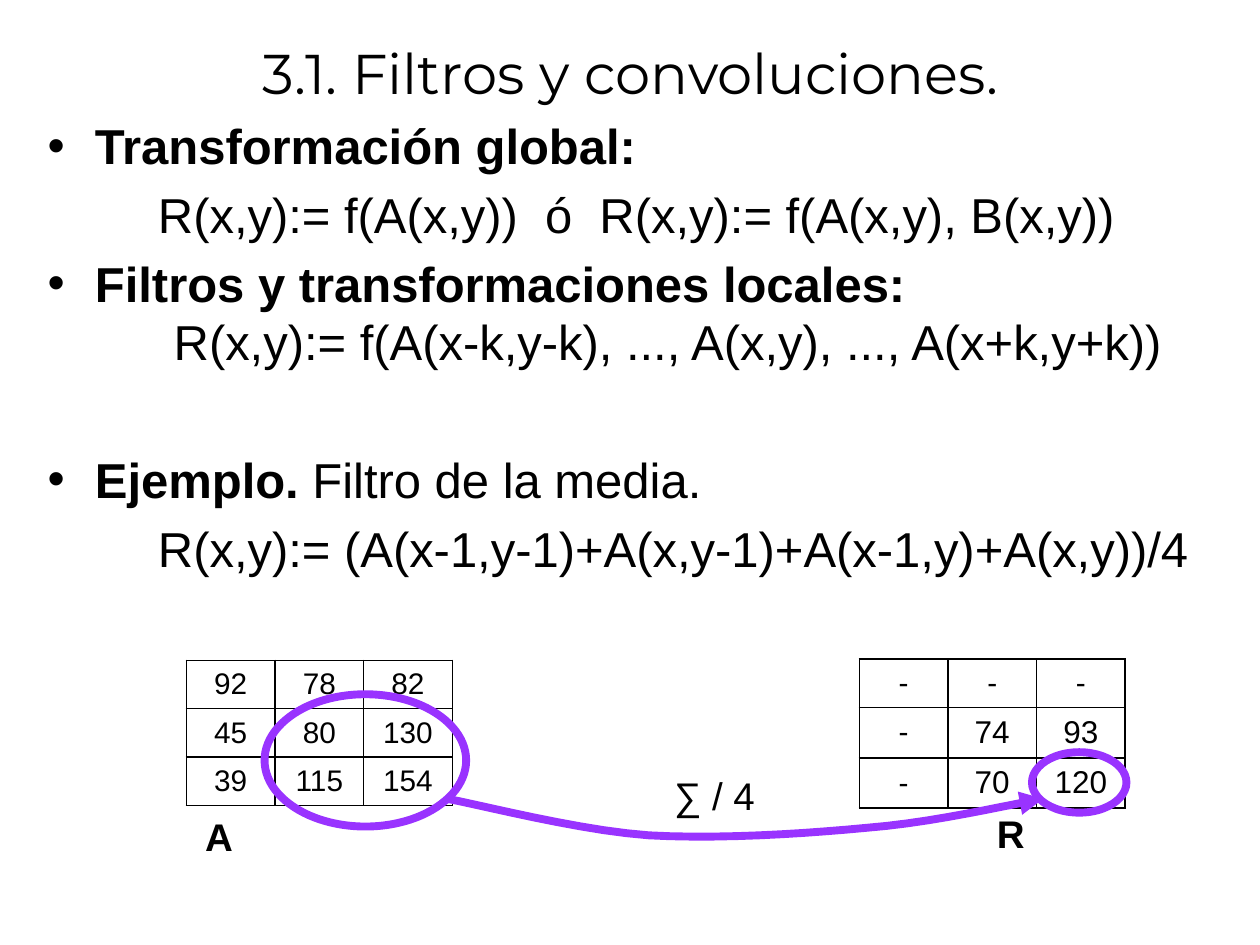
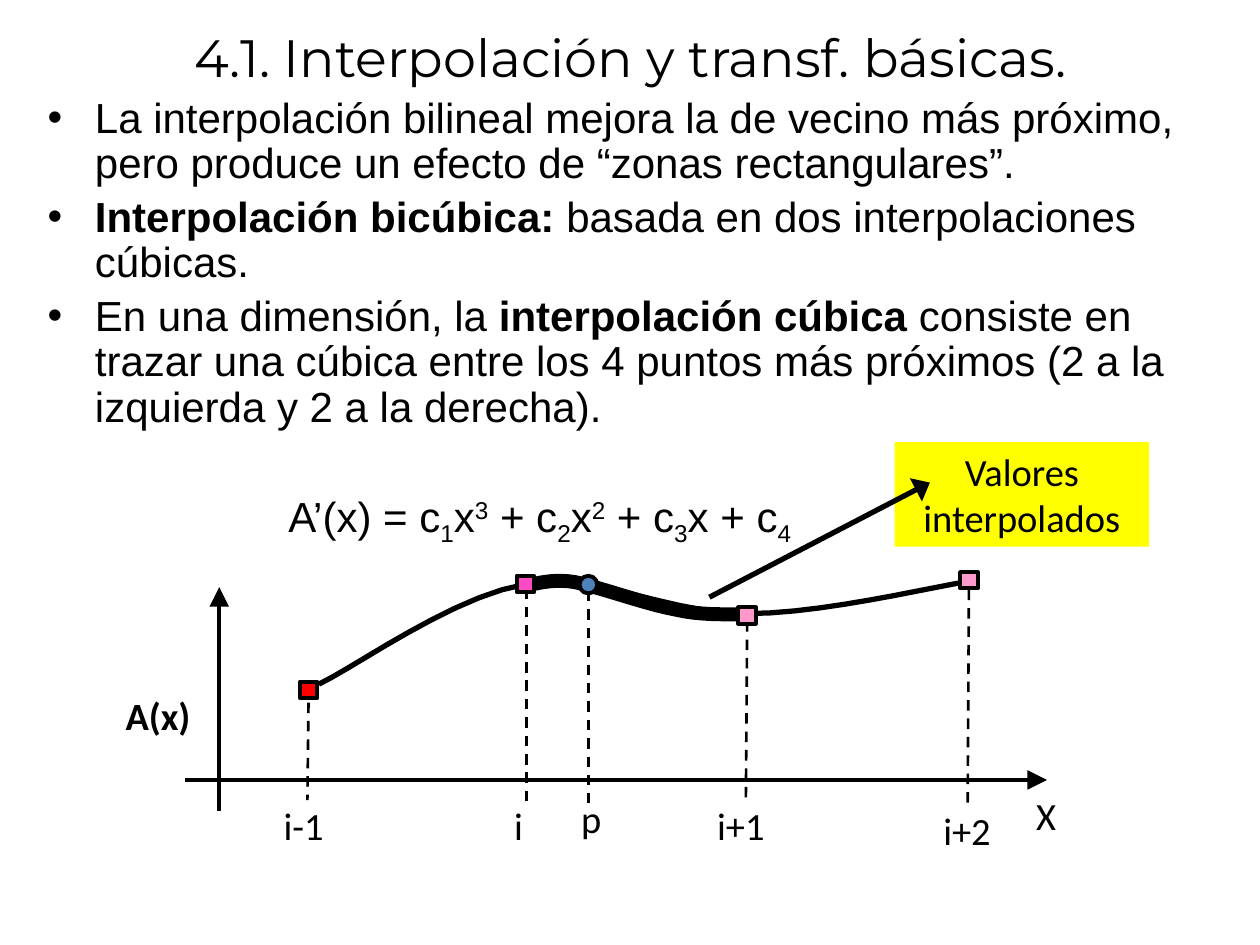
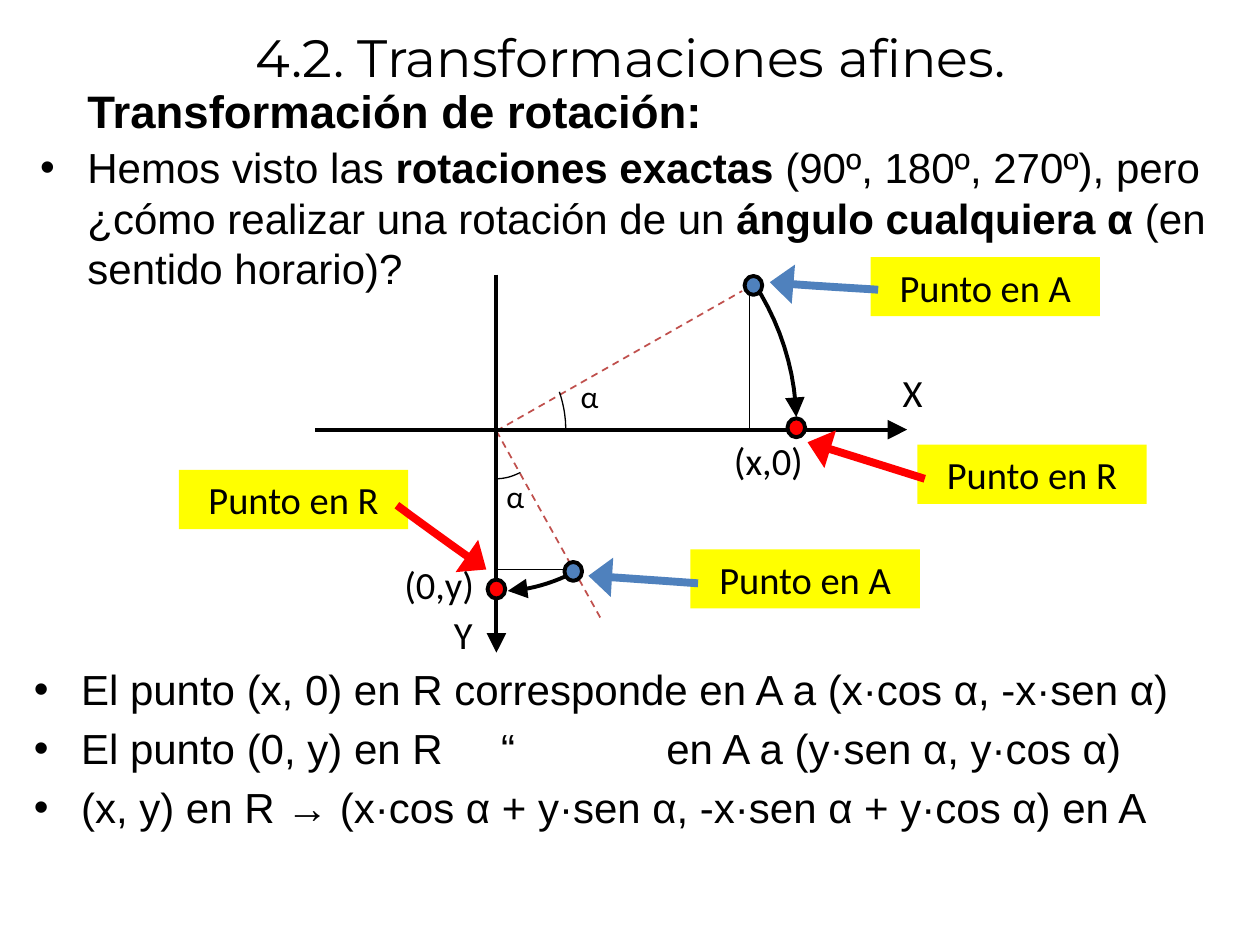
from lxml.etree import SubElement as Sub
from pptx import Presentation
from pptx.dml.color import RGBColor as RGB
from pptx.enum.dml import MSO_LINE as Dash
from pptx.enum.shapes import MSO_CONNECTOR as Link, MSO_SHAPE as Form
from pptx.enum.text import MSO_ANCHOR as Anchor, PP_ALIGN as Align
from pptx.oxml.ns import qn
from pptx.util import Inches, Pt

BLACK = RGB(0, 0, 0)
RED = RGB(0xFF, 0, 0)
BLUE = RGB(0x4F, 0x81, 0xBD)
BRICK = RGB(0xC0, 0x50, 0x4D)
YELLOW = RGB(0xFF, 0xFF, 0)
PURPLE = RGB(0x99, 0x33, 0xFF)
ROSE = RGB(0xFF, 0x4B, 0xC3)
PINK = RGB(0xFF, 0x99, 0xCC)
HEAD, TEXT, LABEL = "Montserrat", "Arial", "Calibri"
INDENT = Pt(27)
LEFT, MID, RIGHT = Align.LEFT, Align.CENTER, Align.RIGHT
PLAIN, WIDE, BIG = ("med", "med"), ("lg", "med"), ("lg", "lg")


def style(run, face, size, bold=False):
    font = run.font
    font.name, font.size, font.bold = face, Pt(size), bold
    font.color.rgb = BLACK


def label(slide, box, text, face=LABEL, size=22, align=RIGHT, bold=False, wrap=True):
    shape = slide.shapes.add_textbox(*map(Inches, box))
    write(shape.text_frame, text, face, size, align, bold)
    shape.text_frame.word_wrap = wrap
    return shape.text_frame


def write(frame, text, face, size, align, bold=False):
    frame.text = text
    para = frame.paragraphs[0]
    para.alignment = align
    for run in para.runs:
        style(run, face, size, bold)


def title(slide, text, high=0.89, size=30):
    frame = label(slide, (0.2, 0, 9.61, high), text, HEAD, size, MID)
    frame.vertical_anchor = Anchor.MIDDLE


def body(slide, box, rows, size, pitch=None):
    frame = slide.shapes.add_textbox(*map(Inches, box)).text_frame
    frame.word_wrap = True
    for i, row in enumerate(rows):
        para = frame.add_paragraph() if i else frame.paragraphs[0]
        gap = row.pop("gap", size * 0.2)
        fill_row(para, size=row.pop("size", size), **row)
        if i:
            para.space_before = Pt(gap)
        if pitch:
            para.line_spacing = pitch


def fill_row(para, text, size, bullet=True, tabs=()):
    props = para._p.get_or_add_pPr()
    props.set("marL", str(INDENT))
    props.set("indent", str(-INDENT))
    if bullet:
        Sub(props, qn("a:buFont"), typeface=TEXT)
        Sub(props, qn("a:buChar"), char="•")
    else:
        Sub(props, qn("a:buNone"))
    if tabs:
        stops = Sub(props, qn("a:tabLst"))
        for stop in tabs:
            Sub(stops, qn("a:tab"), pos=str(Inches(stop)), algn="l")
    for i, span in enumerate(text.split("**")):
        for j, part in enumerate(span.split("\n")):
            if j:
                para.add_line_break()
            if part:
                run = para.add_run()
                run.text = part
                style(run, TEXT, size, i % 2 == 1)


def stroke(shape, color, width, dash=False, arrow=None):
    line = shape.line
    line.color.rgb, line.width = color, Pt(width)
    if dash:
        line.dash_style = Dash.DASH
    if arrow:
        wide, long = arrow
        Sub(line._get_or_add_ln(), qn("a:tailEnd"), type="triangle", w=wide, len=long)


def line(slide, start, end, color=BLACK, width=2.25, dash=False, arrow=None):
    ends = map(Inches, (*start, *end))
    shape = slide.shapes.add_connector(Link.STRAIGHT, *ends)
    stroke(shape, color, width, dash, arrow)
    Sub(shape._element.spPr, qn("a:effectLst"))


def bend(a, b, c, d, steps=10):
    for i in range(1, steps + 1):
        t = i / steps
        u = 1 - t
        yield tuple(
            Inches(u**3 * p + 3 * u * u * t * q + 3 * u * t * t * r + t**3 * s)
            for p, q, r, s in zip(a, b, c, d)
        )


def curve(slide, knots, color=BLACK, width=2.25, arrow=None, hub=None):
    points = [
        spot for i in range(0, len(knots) - 1, 3) for spot in bend(*knots[i:i + 4])
    ]
    pen = slide.shapes.build_freeform(*map(Inches, knots[0]))
    pen.add_line_segments(points, close=False)
    if hub:
        pen.move_to(*map(Inches, hub))
    shape = pen.convert_to_shape()
    shape.shadow.inherit = False
    shape.fill.background()
    stroke(shape, color, width, arrow=arrow)


def mark(slide, form, box, fill=None, color=BLACK, width=2.25):
    shape = slide.shapes.add_shape(form, *map(Inches, box))
    shape.shadow.inherit = False
    if fill is None:
        shape.fill.background()
    else:
        shape.fill.solid()
        shape.fill.fore_color.rgb = fill
    stroke(shape, color, width)


def note(slide, box, text):
    shape = slide.shapes.add_shape(Form.RECTANGLE, *map(Inches, box))
    shape.shadow.inherit = False
    shape.fill.solid()
    shape.fill.fore_color.rgb = YELLOW
    shape.line.fill.background()
    shape.text_frame.word_wrap = True
    write(shape.text_frame, text, LABEL, 22, MID)


def border(cell):
    props = cell._tc.get_or_add_tcPr()
    for i, side in enumerate(("lnL", "lnR", "lnT", "lnB")):
        edge = props.makeelement(qn("a:" + side), {"w": str(Pt(1))})
        fill = Sub(edge, qn("a:solidFill"))
        Sub(fill, qn("a:srgbClr"), val=str(BLACK))
        props.insert(i, edge)


def grid(slide, left, top, highs, rows, size):
    frame = slide.shapes.add_table(
        3, 3, Inches(left), Inches(top), Inches(2.11), Inches(sum(highs))
    )
    table = frame.table
    table.first_row = table.horz_banding = False
    for i, row in enumerate(rows):
        table.rows[i].height = Inches(highs[i])
        for j, value in enumerate(row.split()):
            cell = table.cell(i, j)
            cell.fill.background()
            cell.vertical_anchor = Anchor.MIDDLE
            write(cell.text_frame, value, TEXT, 17 if value == "-" else size, MID)
            border(cell)


def filters(slide):
    title(slide, "3.1. Filtros y convoluciones.", 1.15, 32)
    stops = [0.38, 1.37]
    body(slide, (0.28, 0.87, 9.48, 5.76), [
        dict(text="**Transformación global:**"),
        dict(text="\t\tR(x,y):= f(A(x,y))  ó  R(x,y):= f(A(x,y), B(x,y))",
             bullet=False, tabs=stops),
        dict(text="**Filtros y transformaciones locales:**\n"
             "\tR(x,y):= f(A(x-k,y-k), ..., A(x,y), ..., A(x+k,y+k))", tabs=[1]),
        dict(text="**Ejemplo.** Filtro de la media.", gap=45),
        dict(text="\t\tR(x,y):= (A(x-1,y-1)+A(x,y-1)+A(x-1,y)+A(x,y))/4",
             bullet=False, tabs=stops),
    ], 28)
    grid(slide, 1.48, 5.24, (0.38, 0.38, 0.38),
         ("92 78 82", "45 80 130", "39 115 154"), 17)
    grid(slide, 6.82, 5.23, (0.38, 0.4, 0.4), ("- - -", "- 74 93", "- 70 120"), 18)
    for box in ((2.1, 5.51, 1.6, 1.05), (8.19, 5.97, 0.75, 0.48)):
        mark(slide, Form.OVAL, box, color=PURPLE, width=4.5)
    curve(slide, [
        (3.55, 6.34), (3.82, 6.39), (4.59, 6.59), (5.15, 6.63), (5.7, 6.66),
        (6.36, 6.62), (6.88, 6.57), (7.4, 6.53), (7.99, 6.39), (8.28, 6.34),
    ], PURPLE, 4.5, PLAIN)
    label(slide, (3.66, 6.08, 2.43, 0.47), "∑ / 4", TEXT)
    label(slide, (1.53, 6.4, 1.9, 0.47), "A", TEXT, align=LEFT, bold=True)
    label(slide, (6.3, 6.38, 1.93, 0.47), "R", TEXT, bold=True)


def formula(slide):
    parts = ("A’(x) = c", "1", "x", "3", " + c", "2", "x", "2",
             " + c", "3", "x + c", "4")
    shifts = (0, -25, 0, 30, 0, -25, 0, 30, 0, -25, 0, -25)
    frame = label(slide, (2.19, 3.84, 4.93, 0.6), "", TEXT, 24, LEFT)
    for part, shift in zip(parts, shifts):
        run = frame.paragraphs[0].add_run()
        run.text = part
        style(run, TEXT, 24)
        if shift:
            run._r.get_or_add_rPr().set("baseline", str(shift * 1000))


def cubic(slide):
    curve(slide, [
        (4.19, 4.64), (4.25, 4.64), (4.37, 4.59), (4.56, 4.62), (4.76, 4.66),
        (5.14, 4.8), (5.37, 4.84), (5.59, 4.89), (5.79, 4.87), (5.9, 4.88),
    ], width=8)
    curve(slide, [
        (2.53, 5.43), (2.81, 5.3), (3.6, 4.73), (4.16, 4.64), (4.73, 4.54),
        (5.34, 4.88), (5.93, 4.87), (6.52, 4.87), (7.34, 4.67), (7.71, 4.61),
    ], width=3)
    title(slide, "4.1. Interpolación y transf. básicas.")
    body(slide, (0.28, 0.72, 9.48, 2.83), [
        dict(text="La interpolación bilineal mejora la de vecino más próximo, "
             "pero produce un efecto de “zonas rectangulares”."),
        dict(text="**Interpolación bicúbica:** basada en dos interpolaciones cúbicas."),
        dict(text="En una dimensión, la **interpolación cúbica** consiste en trazar "
             "una cúbica entre los 4 puntos más próximos (2 a la izquierda y 2 a la "
             "derecha)."),
    ], 24, 0.9)
    formula(slide)
    line(slide, (1.47, 6.19), (8.31, 6.19), arrow=BIG)
    line(slide, (1.74, 6.44), (1.74, 4.66), arrow=BIG)
    for start, end in (
        ((2.45, 5.43), (2.44, 6.35)), ((4.18, 4.67), (4.18, 6.36)),
        ((4.67, 4.69), (4.67, 6.37)), ((5.93, 4.93), (5.92, 6.35)),
        ((7.69, 4.68), (7.68, 6.38)),
    ):
        line(slide, start, end, width=1.5, dash=True)
    for left, top, fill in (
        (2.38, 5.41, RED), (4.1, 4.57, ROSE), (5.86, 4.82, PINK), (7.62, 4.54, PINK),
    ):
        mark(slide, Form.RECTANGLE, (left, top, 0.14, 0.13), fill)
    mark(slide, Form.OVAL, (4.6, 4.57, 0.14, 0.14), BLUE)
    for left, top, wide, text in (
        (1.96, 6.32, 0.9, "i-1"), (3.69, 6.32, 0.85, "i"),
        (5.36, 6.32, 1.04, "i+1"), (7.16, 6.36, 1.03, "i+2"),
    ):
        label(slide, (left, top, wide, 0.47), text, align=MID)
    label(slide, (0.71, 5.44, 0.9, 0.47), "A(x)", bold=True)
    label(slide, (8.06, 6.24, 0.42, 0.47), "X")
    label(slide, (4.49, 6.26, 0.38, 0.47), "p")
    note(slide, (7.1, 3.51, 2.02, 0.83), "Valores interpolados")
    line(slide, (5.63, 4.74), (7.38, 3.83), width=3, arrow=WIDE)


def turn(slide):
    line(slide, (3.94, 4.52), (4.58, 4.52), width=0.75)
    line(slide, (5.95, 3.42), (5.95, 2.24), width=0.75)
    for end in ((5.89, 2.31), (4.78, 4.93)):
        line(slide, (3.94, 3.42), end, BRICK, 1, True)
    title(slide, "4.2. Transformaciones afines.")
    body(slide, (0.22, 0.61, 9.51, 1.78), [
        dict(text="**\tTransformación de rotación:**", bullet=False, size=26),
        dict(text="Hemos visto las **rotaciones exactas** (90º, 180º, 270º), pero "
             "¿cómo realizar una rotación de un **ángulo cualquiera α** (en sentido "
             "horario)?", gap=2.4),
    ], 24)
    line(slide, (2.5, 3.41), (7.2, 3.41), arrow=BIG)
    line(slide, (3.94, 2.18), (3.94, 5.18), arrow=BIG)
    for knots in (
        [(4.54, 4.55), (4.38, 4.63), (4.21, 4.68), (4.03, 4.69)],
        [(5.98, 2.24), (6.19, 2.56), (6.31, 2.93), (6.32, 3.31)],
    ):
        curve(slide, knots, arrow=BIG)
    for left, top, fill in (
        (6.25, 3.32, RED), (3.87, 4.6, RED), (5.91, 2.19, BLUE), (4.48, 4.46, BLUE),
    ):
        mark(slide, Form.OVAL, (left, top, 0.14, 0.15), fill)
    body(slide, (0.17, 5.22, 9.64, 1.78), [
        dict(text="El punto (x, 0) en R corresponde en A a (x·cos α, -x·sen α)"),
        dict(text="El punto (0, y) en R\t“\ten A a (y·sen α, y·cos α)",
             tabs=[3.71, 5.02]),
        dict(text="(x, y) en R → (x·cos α + y·sen α, -x·sen α + y·cos α) en A"),
    ], 24)
    for left, top in ((4.51, 2.94), (3.92, 3.74)):
        label(slide, (left, top, 0.39, 0.5), "α", size=18, align=LEFT, wrap=False)
    for hub, knots in (
        ((3.65, 3.4), [(4.44, 3.11), (4.47, 3.2), (4.49, 3.3), (4.49, 3.4)]),
        ((3.94, 2.97), [(4.13, 3.75), (4.07, 3.78), (4.01, 3.8), (3.94, 3.8)]),
    ):
        curve(slide, knots, width=0.75, hub=hub)
    for left, top, text, color, knots in (
        (6.91, 2.04, "Punto en A", BLUE,
         [(6.97, 2.3), (6.83, 2.29), (6.29, 2.26), (6.11, 2.24)]),
        (5.48, 4.36, "Punto en A", BLUE,
         [(5.54, 4.63), (5.39, 4.62), (4.85, 4.58), (4.67, 4.57)]),
        (7.28, 3.53, "Punto en R", RED,
         [(7.34, 3.8), (7.18, 3.75), (6.61, 3.57), (6.41, 3.51)]),
        (1.42, 3.73, "Punto en R", RED,
         [(3.15, 4.01), (3.27, 4.1), (3.71, 4.42), (3.86, 4.52)]),
    ):
        note(slide, (left, top, 1.82, 0.47), text)
        curve(slide, knots, color, 4.5, WIDE)
    for left, top, wide, text in (
        (7, 2.88, 0.42, "X"), (3.41, 4.8, 0.44, "Y"),
        (5.59, 3.42, 0.88, "(x,0)"), (2.44, 4.4, 1.42, "(0,y)"),
    ):
        label(slide, (left, top, wide, 0.47), text)


def main():
    deck = Presentation()
    deck.slide_width, deck.slide_height = Inches(10), Inches(7.5)
    for draw in (filters, cubic, turn):
        draw(deck.slides.add_slide(deck.slide_layouts[6]))
    deck.save("out.pptx")


if __name__ == "__main__":
    main()
